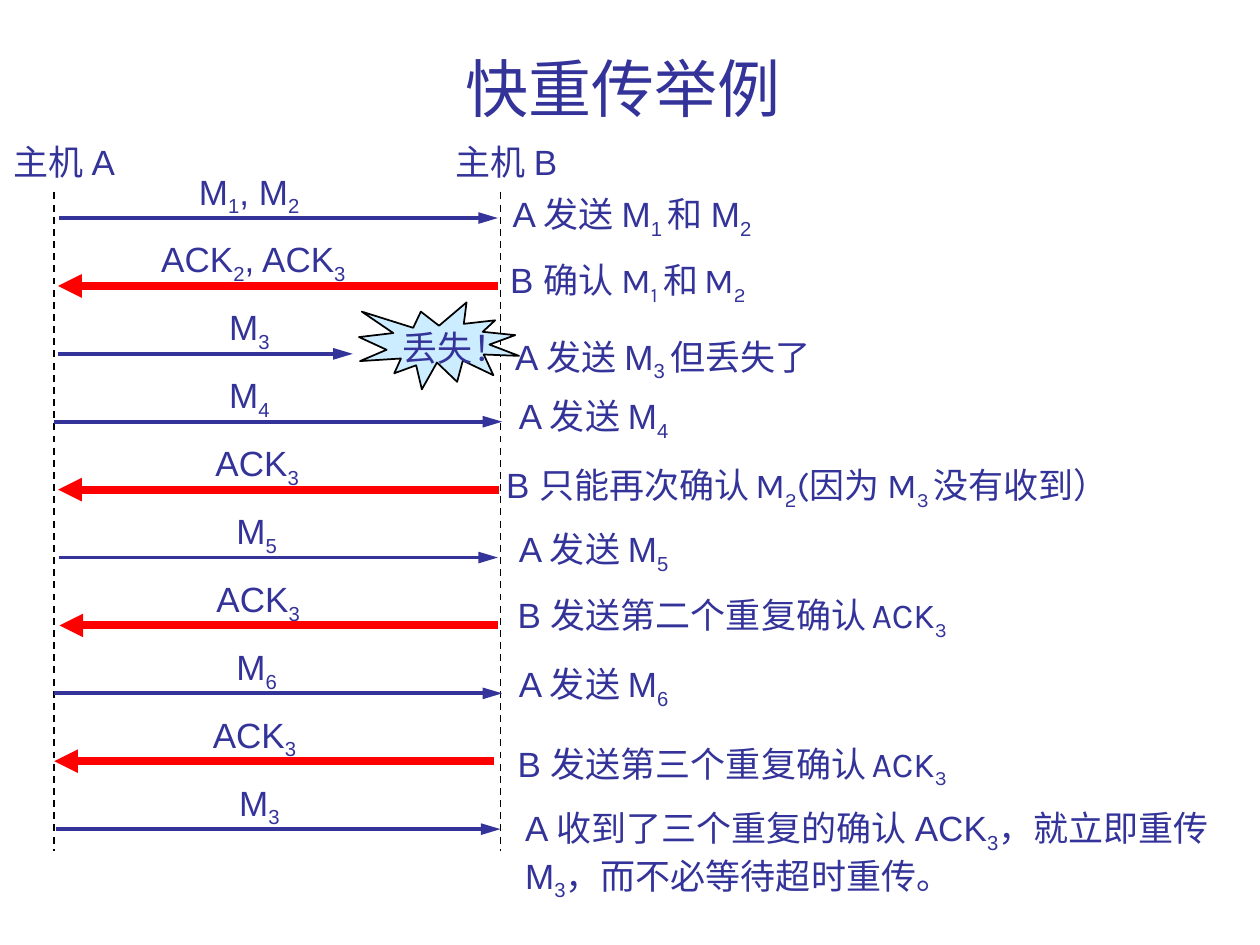
from lxml.etree import SubElement
from pptx import Presentation
from pptx.dml.color import RGBColor
from pptx.enum.dml import MSO_LINE
from pptx.enum.shapes import MSO_CONNECTOR, MSO_SHAPE
from pptx.enum.text import MSO_ANCHOR, MSO_AUTO_SIZE, PP_ALIGN
from pptx.oxml.ns import qn
from pptx.util import Pt

COLORS = {"ink": "333399", "ack": "FF0000", "line": "000000", "burst": "CCECFF"}

# Text markup: "|" parts runs, "_" starts a subscript, "^" turns to Karla.
TITLE = "快重传举例"
LOST = "丢失！"
HOSTS = [("主机 A", 0.7, 31), ("主机 B", 253.4, 286)]  # text, left, lifeline x

# label, label left, label width, arrow start, arrow end
MESSAGES = [
    ("M|_1|, M|_2", 106.6, 72, 34, 284.5),
    ("ACK|_2|, ACK|_3", 85, 121, 284.5, 33.2),
    ("M|_3", 123.8, 37.4, 33, 201.6),
    ("M|_4", 123.8, 37.4, 31, 287),
    ("ACK|_3", 116, 62, 285, 33.2),
    ("M|_5", 128, 37.4, 34, 284.5),
    ("ACK|_3", 116.6, 62, 284.5, 34),
    ("M|_6", 128, 37.4, 31, 287),
    ("ACK|_3", 114.5, 62, 282.2, 31),
    ("M|_3", 129.6, 37.4, 32.2, 286),
]
# text, left, top, width
NOTES = [
    ("A 发送 M|_1 |和 M|_2", 285.8, 106.6, 171.4),
    ("B 确认 ^M|_1| |和| |M|_2", 284.4, 144, 169.2),
    ("A 发送 M|_3 |但丢失了", 287.3, 188, 198.7),
    ("A 发送 M|_4", 289.4, 221.8, 111),
    ("B 只能再次确认^ |M|_2|(因为 M|_3 |没有收到）", 282.2, 261.4, 384.5),
    ("A 发送 M|_5", 289.4, 298, 111),
    ("B 发送第二个重复确认^ |ACK|_3", 288.7, 335.5, 269.3),
    ("A 发送 M|_6", 289.4, 375, 111),
    ("B 发送第三个重复确认^ |ACK|_3", 288.7, 420.5, 269.3),
    ("A 收到了三个重复的确认 ACK|_3|，就立即重传 M|_3|，而不必等待超时重传。",
     293, 457.2, 417),
]
FIRST, STEP = 124.6, 38.8  # arrow rows
LIFT = 31                  # label top above its arrow


def rgb(name):
    return RGBColor.from_string(COLORS[name])


def add_text(slide, text, left, top, width, height=34.6, size=20, wrap=False):
    box = slide.shapes.add_textbox(Pt(left), Pt(top), Pt(width), Pt(height))
    frame = box.text_frame
    frame.word_wrap = wrap
    frame.auto_size = MSO_AUTO_SIZE.SHAPE_TO_FIT_TEXT
    para = frame.paragraphs[0]
    para.font.size = Pt(size)
    para.font.color.rgb = rgb("ink")
    for face, part in zip(("Arial", "Karla"), text.split("^")):
        for piece in part.split("|"):
            run = para.add_run()
            run.text = piece.lstrip("_")
            run.font.name = face
            if piece.startswith("_"):
                run.font._element.set("baseline", "-25000")
            elif piece == " ":
                run.font.size = Pt(14)
    return frame


def add_line(slide, start, end, color, width):
    line = slide.shapes.add_connector(
        MSO_CONNECTOR.STRAIGHT, *(Pt(v) for v in (*start, *end)))
    line.line.color.rgb = rgb(color)
    line.line.width = Pt(width)
    SubElement(line._element.spPr, qn("a:effectLst"))
    return line


def add_arrow(slide, start, end, y):
    back = end < start
    color, width = ("ack", 4.5) if back else ("ink", 2.25)
    line = add_line(slide, (start, y), (end, y), color, width)
    SubElement(line.line._get_or_add_ln(), qn("a:tailEnd"), type="triangle",
               w="med", len="med" if back else "lg")


def add_burst(slide):
    burst = slide.shapes.add_shape(
        MSO_SHAPE.EXPLOSION1, Pt(205.2), Pt(172.8), Pt(91.4), Pt(49.7))
    burst.shadow.inherit = False
    burst.fill.solid()
    burst.fill.fore_color.rgb = rgb("burst")
    burst.line.color.rgb = rgb("line")
    burst.line.width = Pt(1)
    add_text(slide, LOST, 223.2, 182.9, 74.2, 31)


def main():
    deck = Presentation()
    deck.slide_width, deck.slide_height = Pt(720), Pt(540)
    slide = deck.slides.add_slide(deck.slide_layouts[6])

    title = add_text(slide, TITLE, 90.7, 31.7, 530, 43.2, 36, True)
    title.auto_size = MSO_AUTO_SIZE.NONE
    title.vertical_anchor = MSO_ANCHOR.BOTTOM
    title.paragraphs[0].alignment = PP_ALIGN.CENTER

    for name, left, x in HOSTS:
        add_text(slide, name, left, 77, 77, 31)
        life = add_line(slide, (x, 110), (x, 486), "line", 1)
        life.line.dash_style = MSO_LINE.DASH
    for row, (label, left, width, start, end) in enumerate(MESSAGES):
        y = FIRST + row * STEP
        add_arrow(slide, start, end, y)
        add_text(slide, label, left, y - LIFT, width)
    add_burst(slide)
    for note, left, top, width in NOTES:
        last = note == NOTES[-1][0]
        add_text(slide, note, left, top, width, 62 if last else 34.6, wrap=last)

    deck.save("out.pptx")


if __name__ == "__main__":
    main()
